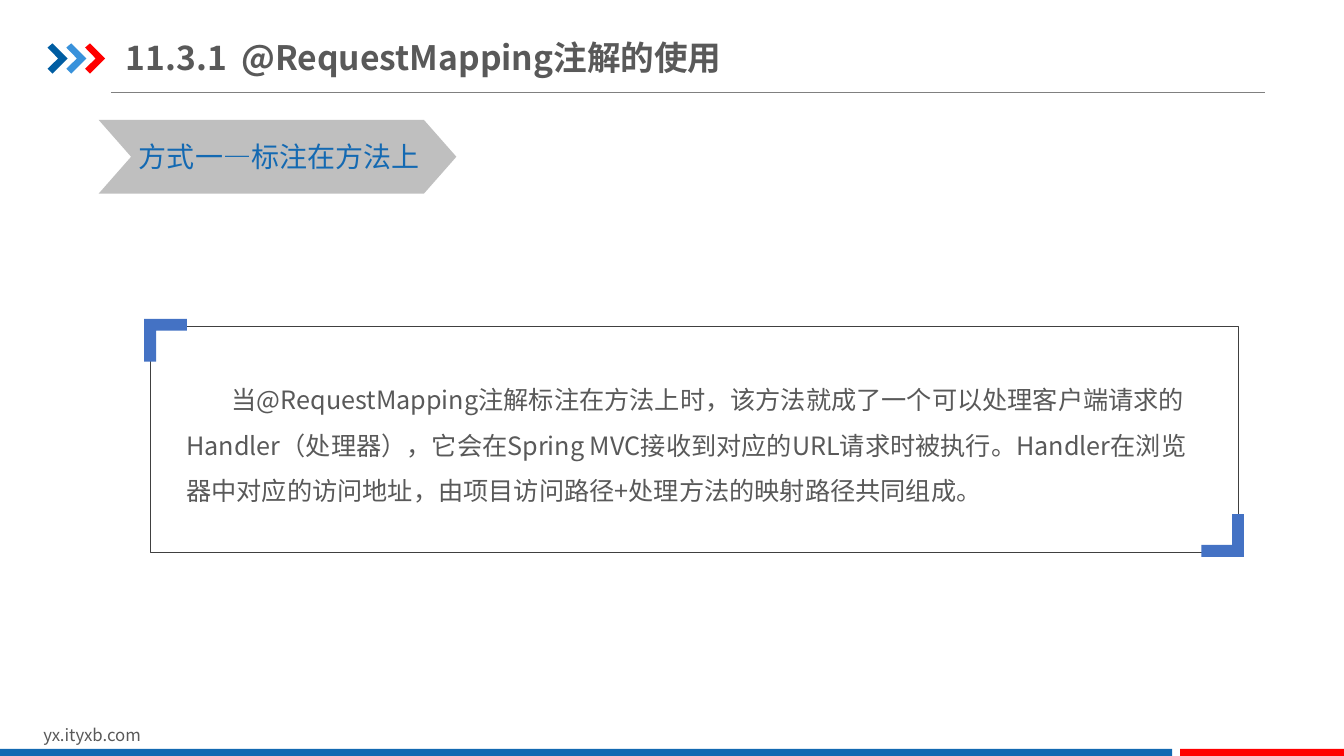
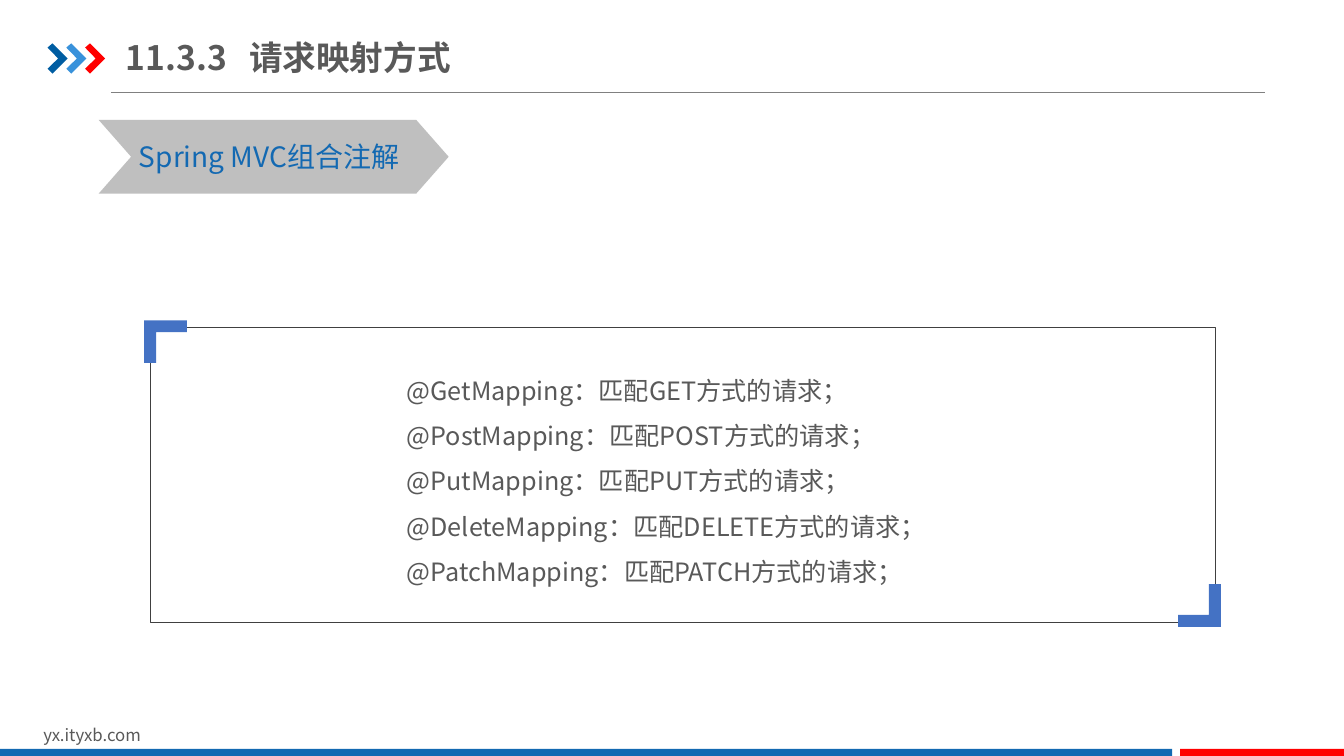
"""Build two lecture slides on Spring MVC request mapping."""
from dataclasses import dataclass

from lxml import etree
from pptx import Presentation
from pptx import util as u
from pptx.dml.color import RGBColor
from pptx.enum import shapes, text
from pptx.oxml import ns

Pt = u.Pt


@dataclass(frozen=True)
class Theme:
    font: str = "Noto Sans CJK SC"
    ink: str = "595959"
    rule: str = "808080"
    frame: str = "404040"
    blue: str = "1369B2"
    red: str = "FF0000"
    banner: str = "BFBFBF"
    bracket: str = "4472C4"
    arrows: tuple = ("005DA2", "3992DB", "FF0000")
    title_size: float = 24
    banner_size: float = 20
    body_size: float = 18
    footer_size: float = 12


theme = Theme()


def write(slide, lines, box, size, color=theme.ink, bold=False, spacing=1.0,
          indent=0, tab=None, insets=(7.2, 3.6), anchor=text.MSO_ANCHOR.TOP):
    frame = slide.shapes.add_textbox(*map(Pt, box)).text_frame
    frame.word_wrap = True
    frame.vertical_anchor = anchor
    frame.margin_left = frame.margin_right = Pt(insets[0])
    frame.margin_top = frame.margin_bottom = Pt(insets[1])
    for number, line in enumerate(lines):
        paragraph = frame.add_paragraph() if number else frame.paragraphs[0]
        paragraph.line_spacing = spacing
        properties = paragraph._p.get_or_add_pPr()
        if indent:
            properties.set("indent", str(Pt(indent)))
        if tab:
            stops = etree.SubElement(properties, ns.qn("a:tabLst"))
            etree.SubElement(stops, ns.qn("a:tab"), pos=str(Pt(tab)), algn="l")
        run = paragraph.add_run()
        run.text = line
        run.font.name = theme.font
        run.font.size = Pt(size)
        run.font.bold = bold
        run.font.color.rgb = RGBColor.from_string(color)
        etree.SubElement(run._r.get_or_add_rPr(), ns.qn("a:ea"), typeface=theme.font)


def paint(slide, outline, box, color):
    if isinstance(outline, shapes.MSO_SHAPE):
        part = slide.shapes.add_shape(outline, *map(Pt, box))
    else:
        corners = [(Pt(box[0] + x), Pt(box[1] + y)) for x, y in outline]
        builder = slide.shapes.build_freeform(*corners[0])
        builder.add_line_segments(corners[1:], close=True)
        part = builder.convert_to_shape()
    part.shadow.inherit = False
    part.line.fill.background()
    part.fill.solid()
    part.fill.fore_color.rgb = RGBColor.from_string(color)
    return part


arrow = [(0, 3), (3.5, 0), (14.3, 10.8), (3.5, 21.6), (0, 18.1), (7.6, 10.8)]
bracket = [(0, 0), (30.5, 0), (30.5, 8.5), (8.5, 8.5), (8.5, 30.5), (0, 30.5)]
bracket_turned = [(-x, -y) for x, y in bracket]

lessons = [
    dict(
        title="11.3.1\t@RequestMapping注解的使用", title_tab=82.5,
        banner="方式一—标注在方法上", banner_width=255.5,
        body=["当@RequestMapping注解标注在方法上时，该方法就成了一个可以处理客户端请求的"
              "Handler（处理器），它会在Spring MVC接收到对应的URL请求时被执行。"
              "Handler在浏览器中对应的访问地址，由项目访问路径+处理方法的映射路径共同组成。"],
        body_box=(126, 260.5, 739.5, 111), indent=32.5,
        frame=(107.3, 233, 777, 161.5),
    ),
    dict(
        title="11.3.3\t请求映射方式", title_tab=88,
        banner="Spring MVC组合注解", banner_width=250,
        body=[f"@{verb}Mapping：匹配{verb.upper()}方式的请求；"
              for verb in ("Get", "Post", "Put", "Delete", "Patch")],
        body_box=(283.5, 253.5, 407, 168), indent=0,
        frame=(107.3, 234, 760.5, 210.5),
    ),
]

deck = Presentation()
deck.slide_width, deck.slide_height = Pt(960), Pt(540)

for lesson in lessons:
    slide = deck.slides.add_slide(deck.slide_layouts[6])

    rule = slide.shapes.add_connector(
        shapes.MSO_CONNECTOR.STRAIGHT, Pt(79.2), Pt(65.8), Pt(903.6), Pt(65.8))
    rule.line.color.rgb = RGBColor.from_string(theme.rule)
    rule.line.width = Pt(0.5)
    etree.SubElement(rule._element.spPr, ns.qn("a:effectLst"))

    for step, color in enumerate(theme.arrows):
        paint(slide, arrow, (34 + 13.4 * step, 31), color)

    write(slide, ["yx.ityxb.com"], (23.8, 514, 229, 21.8), theme.footer_size)
    paint(slide, shapes.MSO_SHAPE.RECTANGLE, (0, 535, 837.2, 5), theme.blue)
    paint(slide, shapes.MSO_SHAPE.RECTANGLE, (843, 535, 117, 5), theme.red)

    banner = paint(slide, shapes.MSO_SHAPE.CHEVRON,
                   (70.5, 85.7, lesson["banner_width"], 52.6), theme.banner)
    banner.adjustments[0] = 0.44
    write(slide, [lesson["banner"]], (92.2, 95.8, 224, 31.7),
          theme.banner_size, color=theme.blue)

    write(slide, [lesson["title"]], (90, 20.9, 458.6, 39.6), theme.title_size,
          bold=True, tab=lesson["title_tab"], insets=(0, 5),
          anchor=text.MSO_ANCHOR.MIDDLE)
    write(slide, lesson["body"], lesson["body_box"], theme.body_size,
          spacing=1.5, indent=lesson["indent"])

    left, top, width, height = lesson["frame"]
    frame = paint(slide, shapes.MSO_SHAPE.RECTANGLE, lesson["frame"], theme.frame)
    frame.fill.background()
    frame.line.color.rgb = RGBColor.from_string(theme.frame)
    frame.line.width = Pt(0.25)
    paint(slide, bracket, (left - 4.3, top - 5.2), theme.bracket)
    paint(slide, bracket_turned, (left + width + 4.3, top + height + 3.3), theme.bracket)

deck.save("out.pptx")
